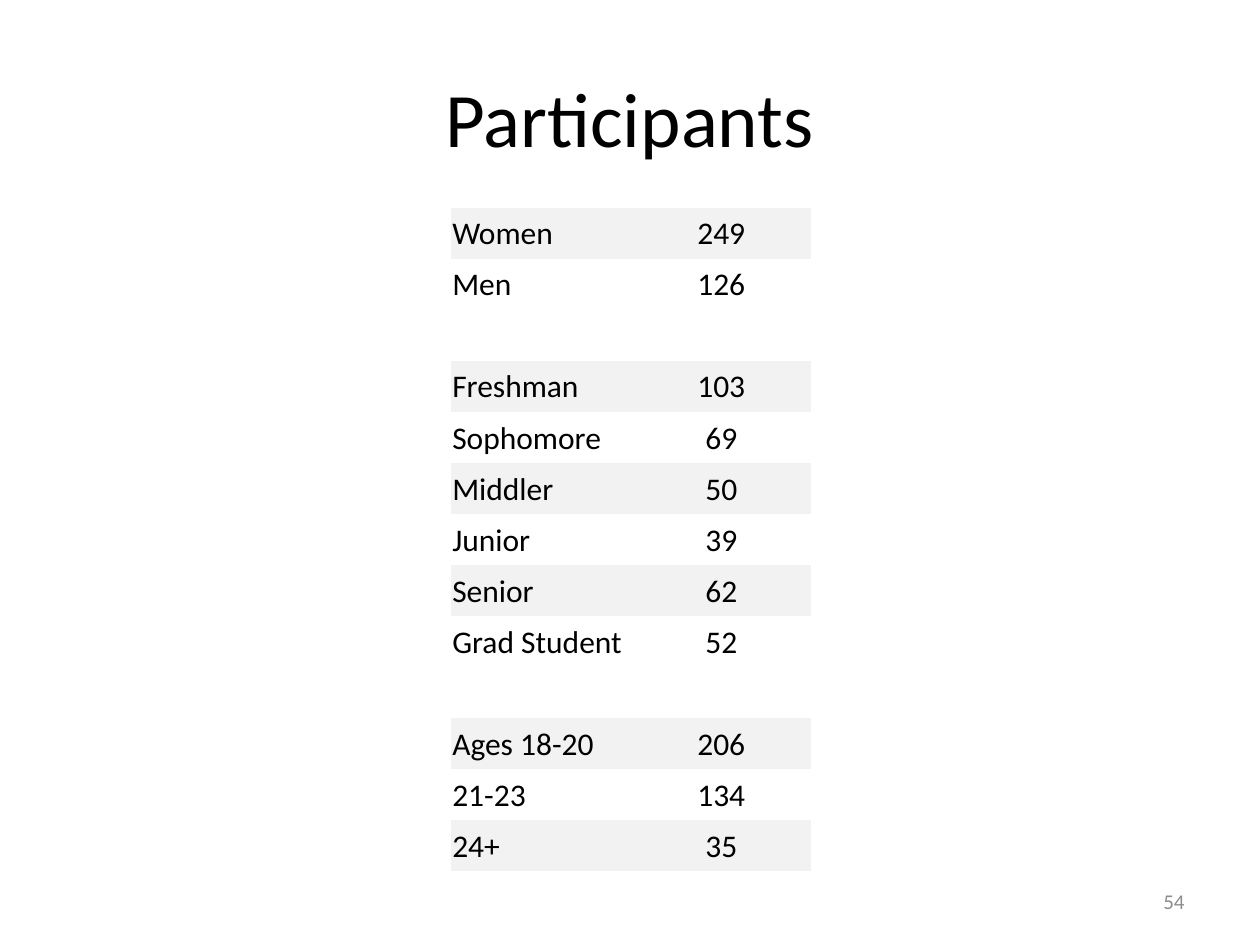
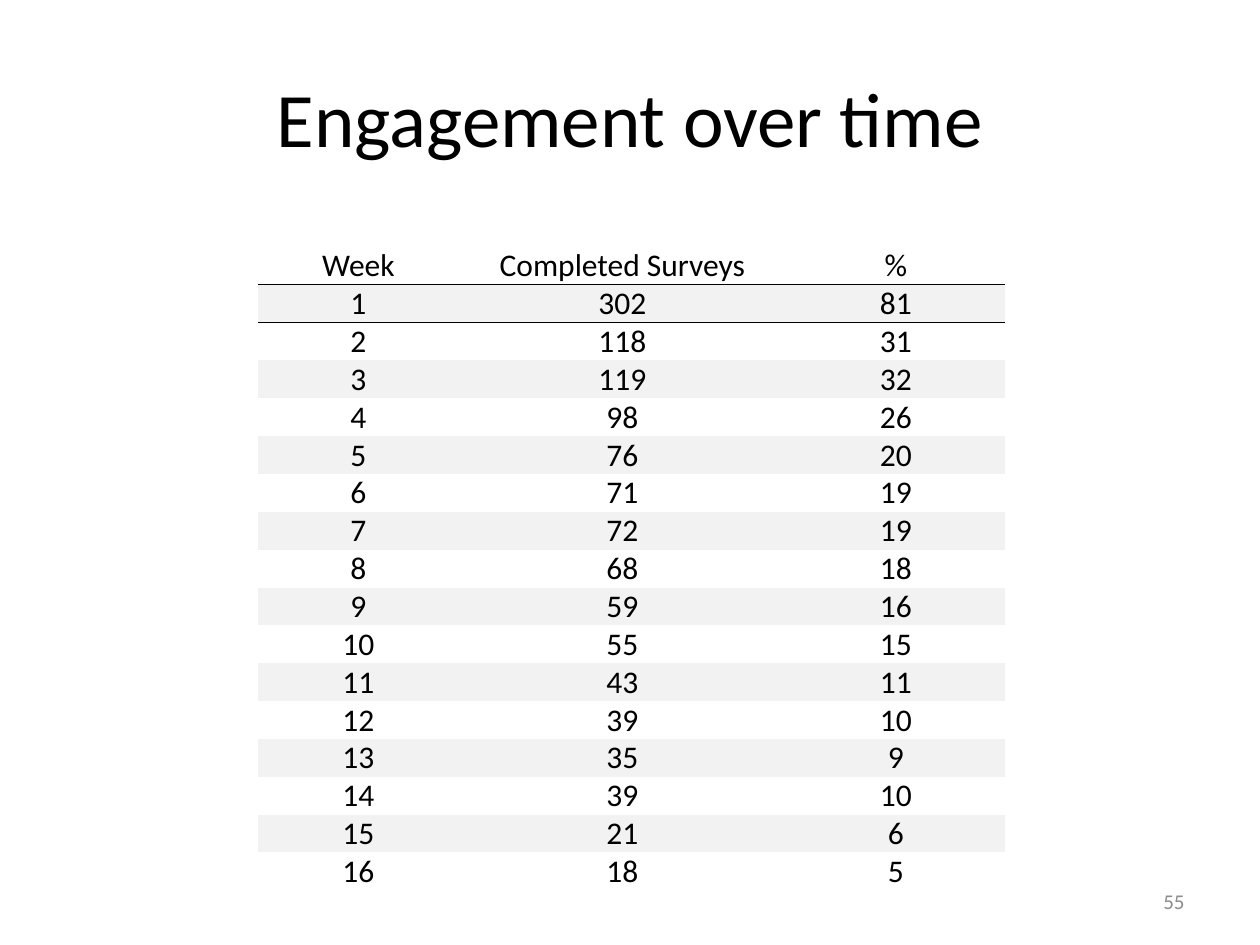
from pptx import Presentation
from pptx.dml.color import RGBColor
from pptx.enum.text import MSO_ANCHOR as Anchor, PP_ALIGN as Align
from pptx.oxml import parse_xml
from pptx.oxml.ns import nsdecls, qn
from pptx.util import Inches, Pt

FONT = "Calibri"
BLACK = RGBColor(0x00, 0x00, 0x00)
GREY = RGBColor(0x8C, 0x8C, 0x8C)
BAND = RGBColor(0xF2, 0xF2, 0xF2)
PLAIN = "{2D5ABB26-0587-4C30-8999-92F81FD0307C}"  # no style, no grid

GROUPS = [
    [("Women", "249"), ("Men", "126")],
    [("Freshman", "103"), ("Sophomore", "69"), ("Middler", "50"),
     ("Junior", "39"), ("Senior", "62"), ("Grad Student", "52")],
    [("Ages 18-20", "206"), ("21-23", "134"), ("24+", "35")],
]
HEADS = ("Week", "Completed Surveys", "%")
SURVEYS = [
    (302, 81), (118, 31), (119, 32), (98, 26), (76, 20), (71, 19),
    (72, 19), (68, 18), (59, 16), (55, 15), (43, 11), (39, 10),
    (35, 9), (39, 10), (21, 6), (18, 5),
]


def style(frame, size, color, align):
    para = frame.paragraphs[0]
    para.alignment = align
    font = para.font
    font.name, font.size, font.color.rgb = FONT, Pt(size), color


def place(shape, box):
    shape.left, shape.top, shape.width, shape.height = map(Inches, box)


def add_page(deck, title, number):
    """Add a slide with its title and page number."""
    slide = deck.slides.add_slide(deck.slide_layouts[5])
    head = slide.shapes.title
    place(head, (0.5, 0.3, 9, 1.25))
    head.text_frame.text = title
    head.text_frame.vertical_anchor = Anchor.MIDDLE
    style(head.text_frame, 44, BLACK, Align.CENTER)

    foot = slide.shapes.add_textbox(*map(Inches, (7.17, 6.95, 2.33, 0.4)))
    frame = foot.text_frame
    frame.word_wrap = True
    frame.vertical_anchor = Anchor.MIDDLE
    frame.text = str(number)
    style(frame, 12, GREY, Align.RIGHT)
    return slide


def add_grid(slide, left, top, widths, heights, rows, banded, aligns, anchor, pads):
    """Add a plain table; banded holds the indexes of the grey rows."""
    box = map(Inches, (left, top, sum(widths), sum(heights)))
    frame = slide.shapes.add_table(len(rows), len(widths), *box)
    table = frame.table
    table.first_row = table.horz_banding = False
    frame._element.find(".//" + qn("a:tableStyleId")).text = PLAIN
    for col, width in zip(table.columns, widths):
        col.width = Inches(width)
    for r, (row, height) in enumerate(zip(rows, heights)):
        table.rows[r].height = Inches(height)
        for c, (text, align) in enumerate(zip(row, aligns)):
            cell = table.cell(r, c)
            cell.text = text
            cell.vertical_anchor = anchor
            (cell.margin_left, cell.margin_top,
             cell.margin_right, cell.margin_bottom) = map(Inches, pads)
            style(cell.text_frame, 18, BLACK, align)
            if r in banded:
                cell.fill.solid()
                cell.fill.fore_color.rgb = BAND
            else:
                cell.fill.background()
    return table


def rule_below(table, row, points):
    """Draw a black line under one table row."""
    for cell in table.rows[row].cells:
        line = parse_xml(
            f'<a:lnB {nsdecls("a")} w="{Pt(points)}"><a:solidFill>'
            f'<a:srgbClr val="{BLACK}"/></a:solidFill></a:lnB>')
        cell._tc.get_or_add_tcPr().insert(0, line)


def people(deck):
    slide = add_page(deck, "Participants", 54)
    rows, banded = [], set()
    for group in GROUPS:
        if rows:
            rows.append(("", ""))
        banded.update(range(len(rows), len(rows) + len(group), 2))
        rows += group
    add_grid(slide, 3.58, 1.65, [1.43] * 2, [5.27 / len(rows)] * len(rows),
             rows, banded, (Align.LEFT, Align.CENTER), Anchor.MIDDLE,
             (0.01, 0.01, 0.01, 0))


def weeks(deck):
    slide = add_page(deck, "Engagement over time", 55)
    rows = [HEADS] + [(str(week), str(done), str(share))
                      for week, (done, share) in enumerate(SURVEYS, 1)]
    table = add_grid(slide, 2.05, 1.68, (1.59, 2.6, 1.74),
                     [0.58] + [0.29] * len(SURVEYS), rows,
                     range(1, len(rows), 2), [Align.CENTER] * 3,
                     Anchor.BOTTOM, (0.07, 0, 0.07, 0))
    rule_below(table, 0, 1)
    rule_below(table, 1, 0.5)


def main():
    deck = Presentation()
    deck.slide_width, deck.slide_height = Inches(10), Inches(7.5)
    people(deck)
    weeks(deck)
    deck.save("out.pptx")


if __name__ == "__main__":
    main()
